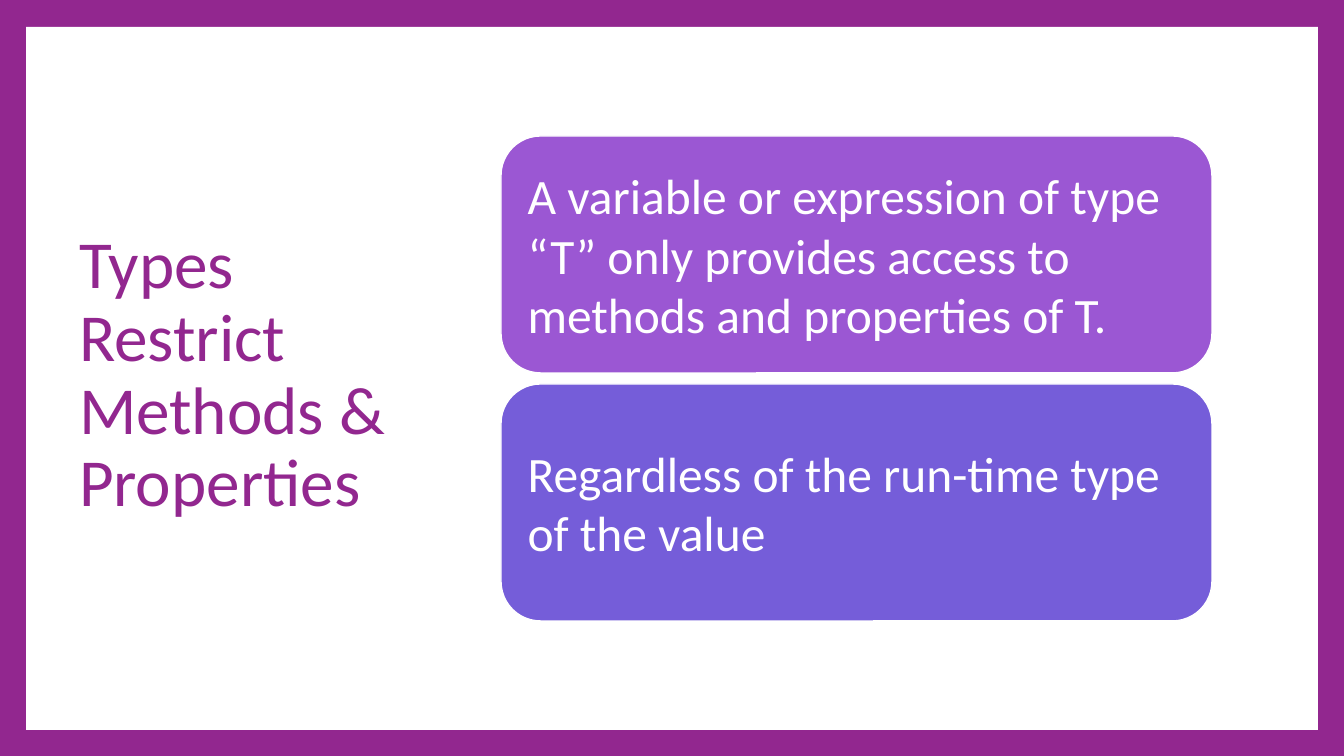
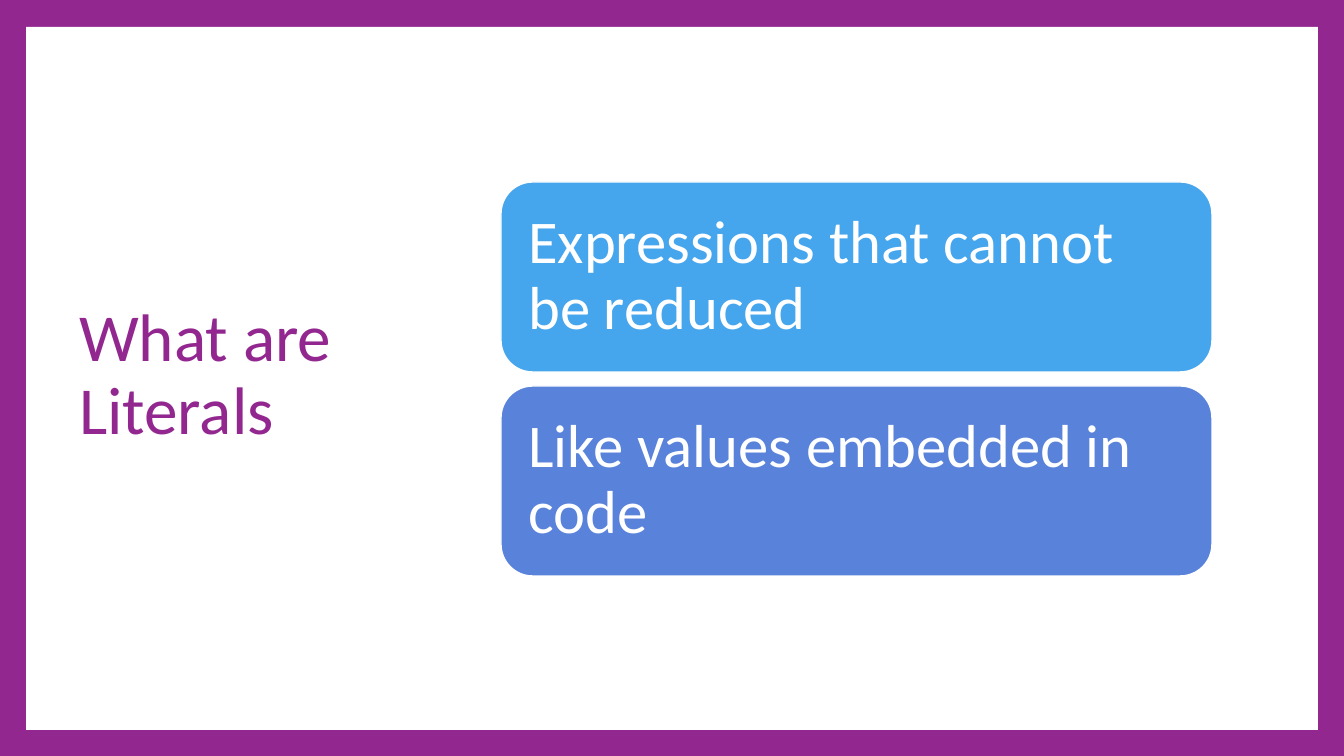
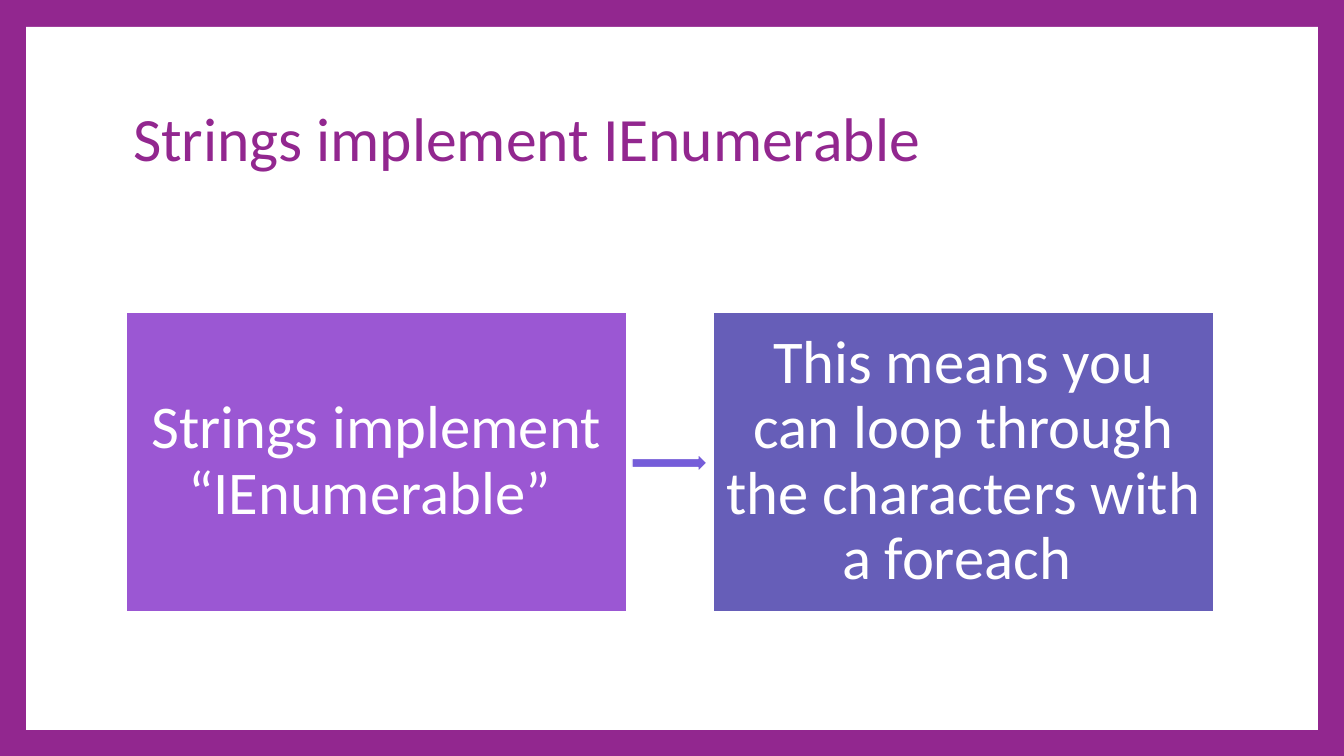
from pptx import Presentation
from pptx.dml.color import RGBColor
from pptx.enum.shapes import MSO_SHAPE
from pptx.enum.text import MSO_ANCHOR, MSO_AUTO_SIZE, PP_ALIGN
from pptx.util import Emu, Pt

COLORS = {
    "brand": "92278F",
    "white": "FFFFFF",
    "orchid": "9B57D3",
    "violet": "755DD9",
    "indigo": "665EB8",
    "sky": "45A5ED",
    "blue": "5982DB",
}
FONT = "Calibri"
PX = 914400 / 67.2


def add_box(s, kind, box, color):
    sp = s.shapes.add_shape(kind, *[Emu(round(v * PX)) for v in box])
    sp.shadow.inherit = False
    sp.fill.solid()
    sp.fill.fore_color.rgb = RGBColor.from_string(COLORS[color])
    sp.line.color.rgb = RGBColor.from_string(COLORS["white"])
    sp.line.width = Pt(1.5)
    return sp


def set_text(sp, text, size, color, align, spacing, margin):
    tf = sp.text_frame
    tf.text = text
    tf.word_wrap = True
    tf.auto_size = MSO_AUTO_SIZE.NONE
    tf.vertical_anchor = MSO_ANCHOR.MIDDLE
    tf.margin_left = tf.margin_right = Emu(round(margin * PX))
    tf.margin_top = tf.margin_bottom = tf.margin_left
    p = tf.paragraphs[0]
    p.alignment = align
    p.line_spacing = spacing
    p.font.name = FONT
    p.font.size = Pt(size)
    p.font.color.rgb = RGBColor.from_string(COLORS[color])


SIDE_TITLE = (72, 67, 371, 618)
TOP_TITLE = (126, 67, 1089, 150)
ROUNDED, RECT = MSO_SHAPE.ROUNDED_RECTANGLE, MSO_SHAPE.RECTANGLE
LEFT, CENTER = PP_ALIGN.LEFT, PP_ALIGN.CENTER

SLIDES = [
    dict(title="Types Restrict Methods &\vProperties", title_box=SIDE_TITLE, title_size=72,
         kind=ROUNDED, first=(501, 136, 711, 237), step=(0, 248),
         size=53, align=LEFT, spacing=1.0, margin=15,
         cards=[("A variable or expression of type “T” only provides access to "
                 "methods and properties of T.", "orchid"),
                ("Regardless of the run-time type of the value", "violet")]),
    dict(title="What are Literals", title_box=SIDE_TITLE, title_size=72,
         kind=ROUNDED, first=(501, 182, 711, 190), step=(0, 204),
         size=65, align=LEFT, spacing=0.9, margin=18,
         cards=[("Expressions that cannot be reduced", "sky"),
                ("Like values embedded in code", "blue")]),
    dict(title="Strings implement IEnumerable", title_box=TOP_TITLE, title_size=66,
         kind=RECT, first=(126, 312, 501, 300), step=(587, 0),
         size=65, align=CENTER, spacing=0.9, margin=11,
         cards=[("Strings implement “IEnumerable” ", "orchid"),
                ("This means you can loop through the characters with a foreach ", "indigo")]),
]

prs = Presentation()
prs.slide_width = Emu(round(1344 * PX))
prs.slide_height = Emu(round(756 * PX))
bg = prs.slide_master.background.fill
bg.solid()
bg.fore_color.rgb = RGBColor.from_string(COLORS["brand"])
layout = prs.slide_layouts[5]

for data in SLIDES:
    s = prs.slides.add_slide(layout)
    title = s.shapes.title
    title.left, title.top, title.width, title.height = [
        Emu(round(v * PX)) for v in data["title_box"]]
    set_text(title, data["title"], data["title_size"], "brand", LEFT, 0.9, 7)

    x, y, w, h = data["first"]
    dx, dy = data["step"]
    for i, (text, color) in enumerate(data["cards"]):
        card = add_box(s, data["kind"], (x + i * dx, y + i * dy, w, h), color)
        set_text(card, text, data["size"], "white", data["align"],
                 data["spacing"], data["margin"])

add_box(s, MSO_SHAPE.RIGHT_ARROW, (632, 454, 75, 18), "violet")

panel = add_box(s, RECT, (26, 27, 1292, 703), "white")
panel.line.fill.background()
layout.shapes._spTree.insert(2, panel._element)

prs.save("out.pptx")
